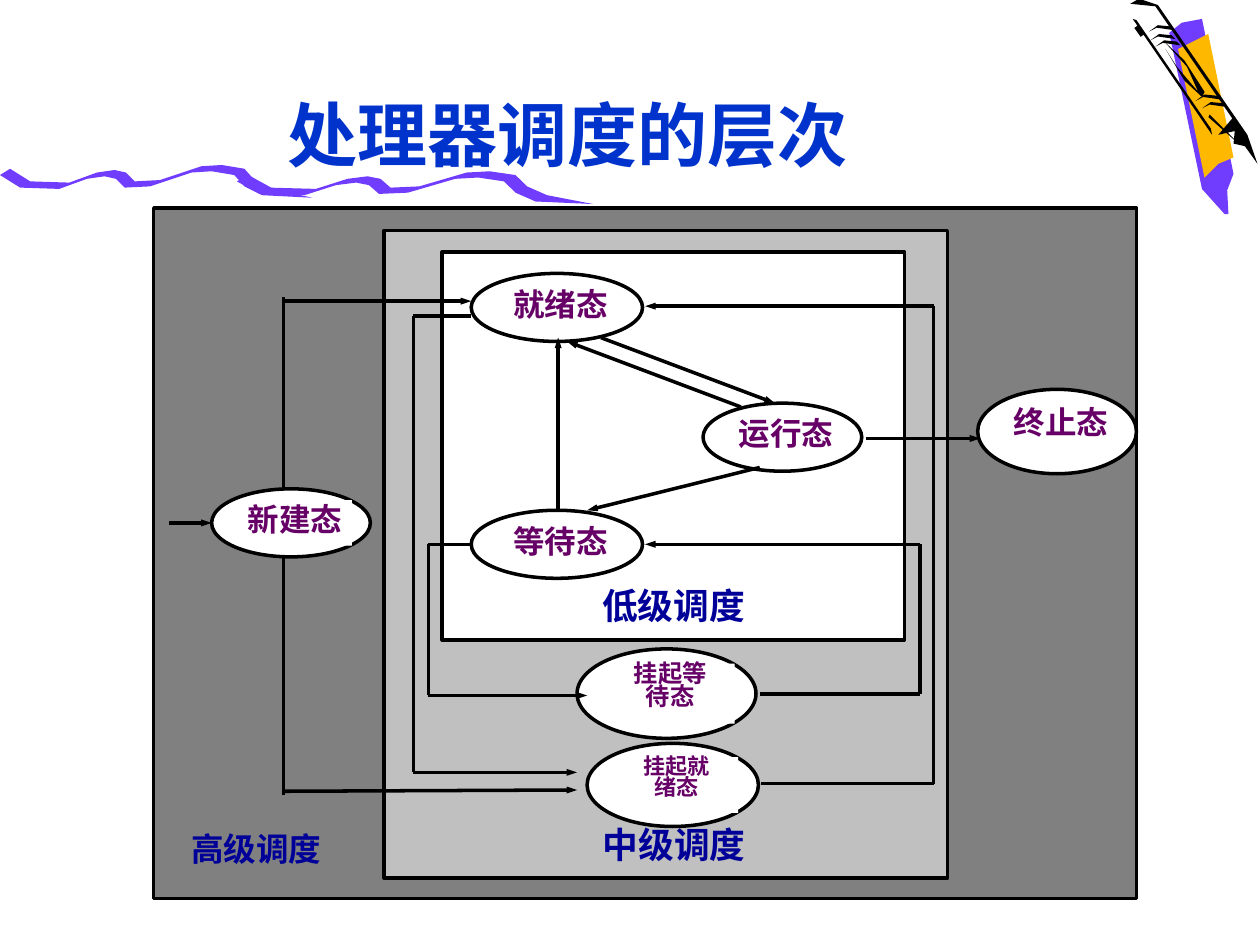
from itertools import pairwise
from lxml.etree import SubElement
from pptx import Presentation
from pptx.dml.color import RGBColor
from pptx.enum.shapes import MSO_CONNECTOR as Connector, MSO_SHAPE as Preset
from pptx.enum.text import MSO_ANCHOR as Anchor, PP_ALIGN as Align
from pptx.oxml.ns import qn
from pptx.util import Inches, Pt

THEME = {
    "title": "0033CC", "caption": "000099", "state": "660066", "ink": "000000",
    "white": "FFFFFF", "outer": "808080", "middle": "C0C0C0",
    "purple": "703DFF", "amber": "FFB800",
    "title_font": "Comic Neue", "font": "Noto Sans CJK SC",
    "title_size": 40, "state_size": 18, "line": 2, "stroke": 3,
}

TITLE = ("处理器调度的层次", (0.75, 0.52, 7.51, 0.92))

PENCIL = [
    ("purple", [(9.28, 0.26), (9.54, 1.5), (9.72, 1.7), (9.75, 1.7), (9.74, 1.51),
                (9.79, 1.38), (9.54, 0.15), (9.38, 0.18)]),
    ("amber", [(9.56, 1.41), (9.67, 1.3), (9.79, 1.25), (9.59, 0.27), (9.35, 0.39)]),
    ("ink", [(9.25, 0.39), (9.4, 0.64), (9.54, 0.77), (9.56, 0.73), (9.4, 0.48), (9.24, 0.33),
             (9.42, 0.53), (9.51, 0.73), (9.34, 0.53)]),
    ("ink", [(8.99, 0.15), (9.62, 1.07), (9.61, 1.02), (9.02, 0.16)]),
    ("ink", [(9.04, -0.01), (9.19, 0.04), (9.9, 1.07), (9.98, 1.3), (9.88, 1.16), (9.79, 1.14),
             (9.8, 1.04), (9.67, 1.07), (9.78, 0.94), (9.17, 0.05), (8.97, 0.03)]),
    ("ink", [(9.59, 0.93), (9.84, 1.15), (9.6, 0.91)]),
]
PENCIL_STROKE = [(9.02, 0.21), (9.07, 0.28)]
GRAIN = [(0, 0.05), (0.06, 0.02), (0.2, 0.04), (0.17, 0.01), (0.07, 0)]
GRAIN_ORIGINS = [(9.12, 0.2), (9.13, 0.27), (9.17, 0.32), (9.49, 0.75), (9.54, 0.81)]

WAVE_TOP = [(0.08, 1.34), (0.24, 1.44), (0.55, 1.45), (0.77, 1.37), (0.91, 1.35), (1, 1.37),
            (1.07, 1.44), (1.27, 1.43), (1.6, 1.32), (1.76, 1.31), (1.94, 1.34), (2.02, 1.43),
            (2.16, 1.5), (2.48, 1.57)]
WAVE_THICKNESS = (-0.08, 0.05)
WAVES = [(0, 0, 1), (1.88, 0.05, 1.14)]

OUTER_LEVEL = ("outer", (1.22, 1.65, 7.8, 5.48))
INNER_LEVELS = [("middle", (3.05, 1.83, 4.47, 5.14)), ("white", (3.51, 2, 3.67, 3.08))]
CAPTIONS = [
    ("高级调度", (1.32, 6.64, 1.43, 0.32), 18.6, 0.8),
    ("中级调度", (4.66, 6.57, 1.38, 0.34), 20.4, 0.9),
    ("低级调度", (3.51, 4.67, 3.67, 0.34), 20.4, 0.9),
]

STATE = THEME["state_size"]
NARROW, WIDE = 0.6, 0.72
LABEL_HEIGHT, LABEL_SHIFT = 0.67, 0.03
STATES = [
    (["新建态"], (1.68, 3.88, 1.26, 0.54), WIDE, STATE),
    (["挂起就", "绪态"], (4.66, 5.9, 1.36, 0.66), WIDE, 12.6),
    (["挂起等", "待态"], (4.58, 5.15, 1.42, 0.71), WIDE, 13.9),
    (["运行态"], (5.58, 3.2, 1.26, 0.54), NARROW, STATE),
    (["就绪态"], (3.74, 2.17, 1.36, 0.54), NARROW, STATE),
    (["等待态"], (3.74, 4.05, 1.36, 0.54), NARROW, STATE),
    (["终止态"], (7.76, 3.09, 1.26, 0.67), NARROW, STATE),
]

NEW_STATE_TRUNK = [(2.25, 6.31), (2.25, 2.36)]
DIRECT_ARROWS = [
    [(1.34, 4.15), (1.68, 4.15)],
    [(2.25, 2.39), (3.74, 2.39)],
    [(2.25, 6.28), (4.58, 6.27)],
    [(4.43, 4.05), (4.43, 2.68)],
    [(6.03, 3.71), (4.66, 4.05)],
    [(5.88, 3.23), (4.5, 2.71)],
    [(4.77, 2.68), (6.15, 3.2)],
    [(6.87, 3.48), (7.78, 3.48)],
]
LANE_ARROWS = [
    ((6.03, 5.51), 7.3, (5.12, 4.32)),
    ((3.74, 4.32), 3.4, (4.66, 5.52)),
    ((3.74, 2.51), 3.28, (4.58, 6.13)),
    ((6.04, 6.22), 7.41, (5.12, 2.43)),
]


def color(name):
    return RGBColor.from_string(THEME[name])


def inches(values):
    return [Inches(value) for value in values]


def moved(points, left, top, stretch=1):
    return [(left + x * stretch, top + y) for x, y in points]


def style_shape(shape, fill, outlined=False):
    shape.shadow.inherit = False
    shape.fill.solid()
    shape.fill.fore_color.rgb = color(fill)
    if outlined:
        shape.line.color.rgb = color("ink")
        shape.line.width = Pt(THEME["line"])
    else:
        shape.line.fill.background()


def add_preset(slide, preset, box, fill, outlined=False):
    shape = slide.shapes.add_shape(preset, *inches(box))
    style_shape(shape, fill, outlined)
    return shape


def add_outline(slide, fill, points):
    start, *rest = [inches(point) for point in points]
    builder = slide.shapes.build_freeform(*start, scale=1.0)
    builder.add_line_segments(rest, close=True)
    style_shape(builder.convert_to_shape(), fill)


def add_route(slide, points, arrow=False, width=THEME["line"]):
    for start, end in pairwise(points):
        connector = slide.shapes.add_connector(Connector.STRAIGHT, *inches(start + end))
        connector.line.color.rgb = color("ink")
        connector.line.width = Pt(width)
        properties = connector._element.spPr
        SubElement(properties, qn("a:effectLst"))
        if arrow and end == points[-1]:
            SubElement(properties.find(qn("a:ln")), qn("a:tailEnd"), type="triangle", w="sm", len="med")


def write_lines(shape, lines, size, ink, spacing=1.0, font="font"):
    frame = shape.text_frame
    frame.word_wrap = True
    frame.text = "\n".join(lines)
    for paragraph in frame.paragraphs:
        paragraph.alignment = Align.CENTER
        paragraph.line_spacing = spacing
        paragraph.font.name = THEME[font]
        paragraph.font.size = Pt(size)
        paragraph.font.bold = True
        paragraph.font.color.rgb = color(ink)
    return frame


def write_label(shape, lines, size, ink, spacing):
    frame = write_lines(shape, lines, size, ink, spacing)
    frame.vertical_anchor = Anchor.TOP
    frame.margin_left = frame.margin_right = frame.margin_top = frame.margin_bottom = 0


def add_state(slide, lines, oval, share, size):
    left, top, width, height = oval
    label_width, label_height = width * share, height * LABEL_HEIGHT
    label = (left + (width - label_width) / 2 + LABEL_SHIFT,
             top + (height - label_height) / 2, label_width, label_height)
    add_preset(slide, Preset.OVAL, oval, "white", outlined=True)
    spacing = 0.8 if len(lines) > 1 else 1.0
    write_label(add_preset(slide, Preset.RECTANGLE, label, "white"), lines, size, "state", spacing)


def add_decoration(slide):
    for fill, points in PENCIL:
        add_outline(slide, fill, points)
    for origin in GRAIN_ORIGINS:
        add_outline(slide, "ink", moved(GRAIN, *origin))
    add_route(slide, PENCIL_STROKE, width=THEME["stroke"])
    ribbon = WAVE_TOP + moved(WAVE_TOP[-2::-1], *WAVE_THICKNESS)
    for placement in WAVES:
        add_outline(slide, "purple", moved(ribbon, *placement))


def main():
    presentation = Presentation()
    presentation.slide_width, presentation.slide_height = inches((10, 7.5))
    slide = presentation.slides.add_slide(presentation.slide_layouts[5])

    text, box = TITLE
    title = slide.shapes.title
    title.left, title.top, title.width, title.height = inches(box)
    write_lines(title, [text], THEME["title_size"], "title", font="title_font")
    title.text_frame.vertical_anchor = Anchor.BOTTOM
    add_decoration(slide)

    fill, box = OUTER_LEVEL
    add_preset(slide, Preset.RECTANGLE, box, fill, outlined=True)
    add_route(slide, NEW_STATE_TRUNK)
    for fill, box in INNER_LEVELS:
        add_preset(slide, Preset.RECTANGLE, box, fill, outlined=True)
    for text, box, size, spacing in CAPTIONS:
        write_label(slide.shapes.add_textbox(*inches(box)), [text], size, "caption", spacing)
    for state in STATES:
        add_state(slide, *state)

    for points in DIRECT_ARROWS:
        add_route(slide, points, arrow=True)
    for start, lane, end in LANE_ARROWS:
        add_route(slide, [start, (lane, start[1]), (lane, end[1]), end], arrow=True)

    presentation.save("out.pptx")


if __name__ == "__main__":
    main()
